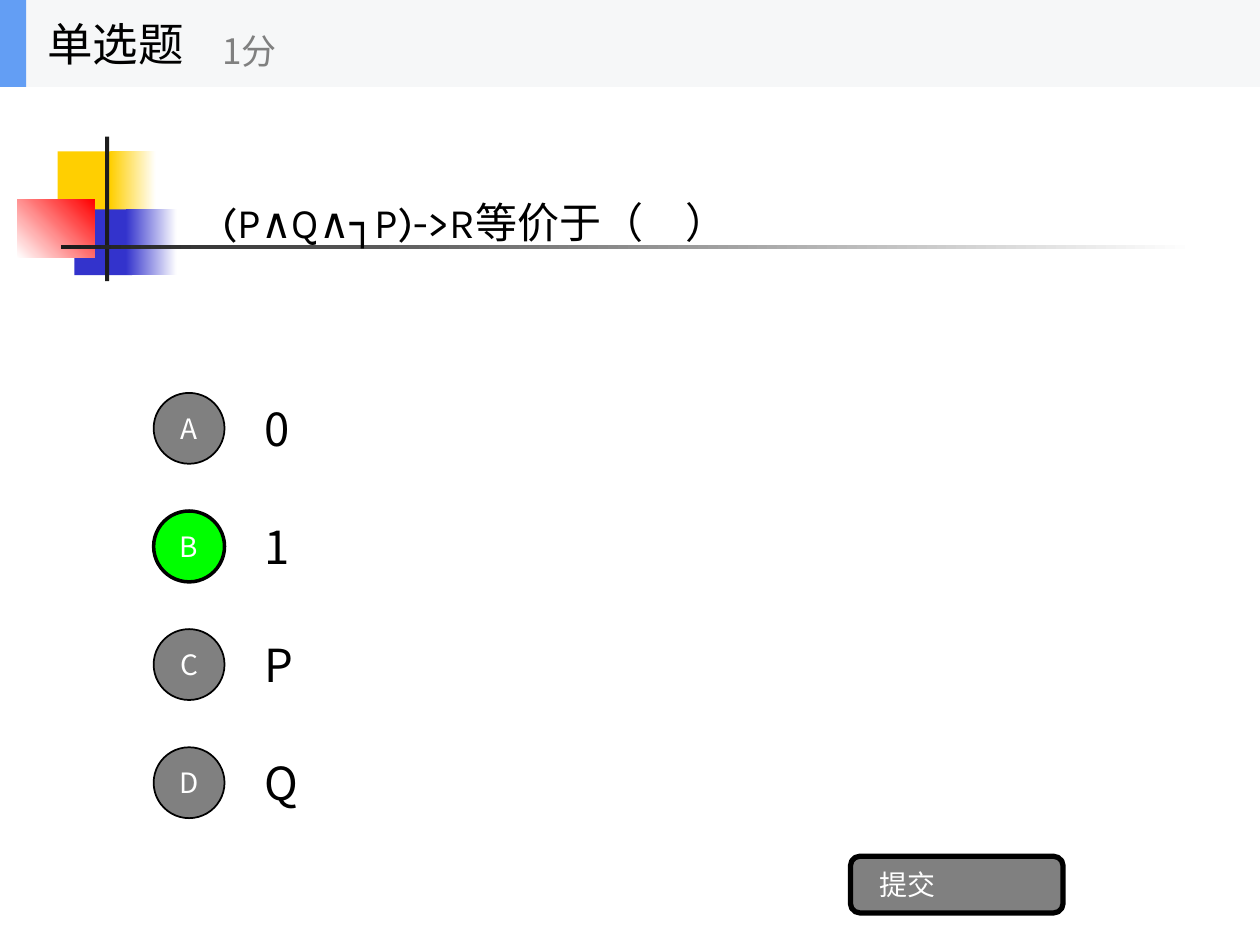
import pptx
import pptx.dml.color
import pptx.enum.shapes
import pptx.enum.text
import pptx.util
from lxml import etree

Pt = pptx.util.Pt
RGBColor = pptx.dml.color.RGBColor
Shape = pptx.enum.shapes.MSO_SHAPE
Align = pptx.enum.text.PP_ALIGN
Anchor = pptx.enum.text.MSO_ANCHOR

BLACK = RGBColor(0x00, 0x00, 0x00)
WHITE = RGBColor(0xFF, 0xFF, 0xFF)
GRAY = RGBColor(0x80, 0x80, 0x80)
GREEN = RGBColor(0x00, 0xFF, 0x00)
YELLOW = RGBColor(0xFF, 0xCF, 0x01)
NAVY = RGBColor(0x33, 0x33, 0xCC)
RED = RGBColor(0xFF, 0x00, 0x00)
INK = RGBColor(0x1C, 0x1C, 0x1C)
PALE = RGBColor(0xF6, 0xF7, 0xF8)
SKY = RGBColor(0x63, 0x9E, 0xF4)

DRAWING = "{http://schemas.openxmlformats.org/drawingml/2006/main}"


class QuizPage:
    font = "Noto Sans CJK SC"
    title_font = "Karla"

    def __init__(self, deck):
        self.page = deck.slides.add_slide(deck.slide_layouts[5])

    def set_text(self, box, text, size, color, font=None, align=Align.LEFT, inset=7.2):
        frame = box.text_frame
        frame_format = {
            "word_wrap": True,
            "auto_size": pptx.enum.text.MSO_AUTO_SIZE.NONE,
            "vertical_anchor": Anchor.MIDDLE,
            "margin_left": Pt(inset),
            "margin_right": Pt(0),
            "margin_top": Pt(0),
            "margin_bottom": Pt(0),
        }
        for name, value in frame_format.items():
            setattr(frame, name, value)
        para = frame.paragraphs[0]
        para.alignment = align
        span = para.add_run()
        span.text = text
        span_format = {"name": font or self.font, "size": Pt(size), "bold": False}
        for name, value in span_format.items():
            setattr(span.font, name, value)
        span.font.color.rgb = color
        east_asian = etree.SubElement(span.font._element, DRAWING + "ea")
        east_asian.set("typeface", self.font)

    def shape(self, kind, place, fill, line=0):
        shape = self.page.shapes.add_shape(kind, *map(Pt, place))
        shape.shadow.inherit = False
        shape.fill.solid()
        shape.fill.fore_color.rgb = fill
        if line:
            shape.line.color.rgb = BLACK
            shape.line.width = Pt(line)
        else:
            shape.line.fill.background()
        return shape

    def fade(self, place, start, end, angle=0):
        """Add a rectangle with a two-colour gradient, angle counter-clockwise."""
        shape = self.shape(Shape.RECTANGLE, place, start)
        shape.fill.gradient()
        shape.fill.gradient_angle = angle
        for stop, color in zip(shape.fill.gradient_stops, (start, end)):
            stop.color.rgb = color

    def label(self, place, text, size, color):
        box = self.page.shapes.add_textbox(*map(Pt, place))
        self.set_text(box, text, size, color)

    def title(self, place, text):
        title = self.page.shapes.title
        for name, value in zip(("left", "top", "width", "height"), place):
            setattr(title, name, Pt(value))
        self.set_text(title, text, 24, BLACK, self.title_font, inset=18)
        # The title stands in front of the ornament.
        self.page.shapes._spTree.append(title._element)

    def ornament(self):
        self.shape(Shape.RECTANGLE, (33, 86.5, 34.5, 37.5), YELLOW)
        self.fade((63, 86.5, 26, 37.5), YELLOW, WHITE)
        self.shape(Shape.RECTANGLE, (42.5, 119.7, 33, 37.5), NAVY)
        self.fade((72, 119.7, 29, 37.5), NAVY, WHITE)
        self.fade((10, 113.8, 44, 33.5), WHITE, RED, 45)
        self.shape(Shape.RECTANGLE, (60, 78, 2.4, 82.7), INK)
        self.fade((35, 140, 648, 2.5), INK, WHITE)

    def option(self, top, letter, answer, correct):
        self.label((144, top, 504, 50.4), answer, 26, BLACK)
        fill, line = (GREEN, 2) if correct else (GRAY, 1)
        circle = self.shape(Shape.OVAL, (87.8, top + 5, 40.5, 40.5), fill, line)
        self.set_text(circle, letter, 16, WHITE, align=Align.CENTER, inset=0)

    def button(self, place, text):
        button = self.shape(Shape.ROUNDED_RECTANGLE, place, GRAY, 3)
        self.set_text(button, text, 16, WHITE, inset=15)

    def header(self, kind, points):
        self.shape(Shape.RECTANGLE, (0, 0, 720, 49.7), PALE)
        self.shape(Shape.RECTANGLE, (0, 0, 15, 49.7), SKY)
        self.label((20, 0, 100, 49.7), kind, 26, BLACK)
        self.label((120, 9, 180, 40), points, 20, GRAY)


def main():
    deck = pptx.Presentation()
    deck.slide_width, deck.slide_height = Pt(720), Pt(540)
    quiz = QuizPage(deck)
    quiz.ornament()
    quiz.title((109.4, 42.5, 457.2, 168.5), "(P∧Q∧┐P)->R等价于（　）")
    for index, (letter, answer) in enumerate(zip("ABCD", "01PQ")):
        quiz.option(219.5 + 67.5 * index, letter, answer, letter == "B")
    quiz.button((486, 489.3, 121.5, 32.4), "提交")
    quiz.header("单选题", "1分")
    deck.save("out.pptx")


if __name__ == "__main__":
    main()
